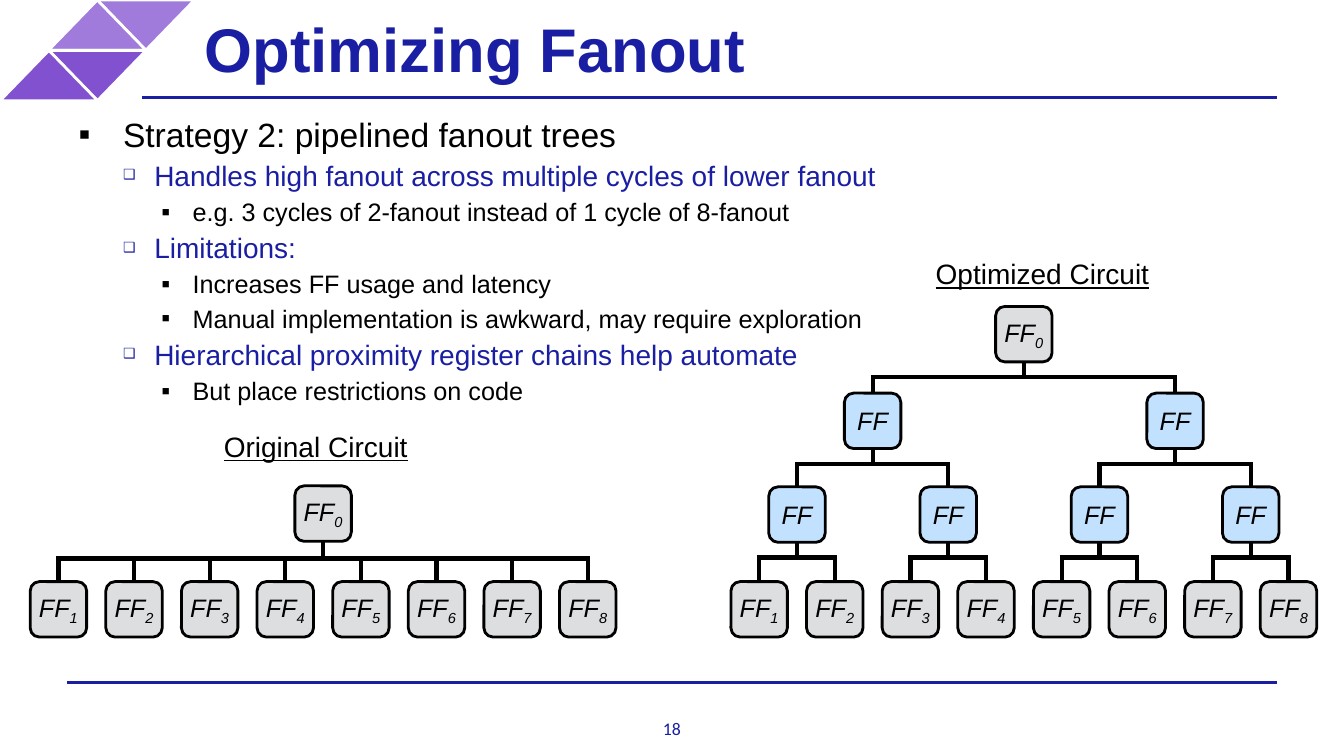
from lxml import etree
from pptx import Presentation
from pptx.dml.color import RGBColor
from pptx.enum.shapes import MSO_CONNECTOR, MSO_SHAPE
from pptx.enum.text import MSO_ANCHOR, MSO_AUTO_SIZE, PP_ALIGN
from pptx.oxml.ns import qn
from pptx.util import Inches, Pt

STRAIGHT = MSO_CONNECTOR.STRAIGHT
TRIANGLE, ROUNDED = MSO_SHAPE.ISOSCELES_TRIANGLE, MSO_SHAPE.ROUNDED_RECTANGLE
LEFT, CENTER = PP_ALIGN.LEFT, PP_ALIGN.CENTER
TOP, MIDDLE = MSO_ANCHOR.TOP, MSO_ANCHOR.MIDDLE
NO_AUTOFIT = MSO_AUTO_SIZE.NONE

NAVY = RGBColor(0x19, 0x1E, 0xA2)
LILAC = RGBColor(0xA0, 0x7B, 0xDB)
PURPLE = RGBColor(0x81, 0x51, 0xCF)
GRAY = RGBColor(0xDC, 0xDE, 0xE0)
SKY = RGBColor(0xC1, 0xE1, 0xFE)
BLACK = RGBColor(0, 0, 0)
WHITE = RGBColor(255, 255, 255)

SLIDE_W, SLIDE_H = 13.33, 7.5
RULE_RIGHT = 0.95 * SLIDE_W
TILE_W, TILE_H = 0.96, 0.5
LEAVES = 8
LEAF_PITCH = 0.75
FF_W, FF_H = 0.56, 0.55
ROW_TOPS = [3.04, 3.9, 4.83, 5.77]  # root, two stages of copies, leaves
BUS_RISES = [0.16, 0.23, 0.24]  # bus height above the lower row
WIRE = 3

# marker, marker size in %, indent, hanging, space before, text size, colour
LEVELS = [
    ("▪", 100, 0.5, 0.44, 6, 24, BLACK),
    ("❑", 50, 0.81, 0.31, 3, 20, NAVY),
    ("▪", 100, 1.19, 0.31, 3, 18, BLACK),
]
STRATEGY = [
    (0, "Strategy 2: pipelined fanout trees"),
    (1, "Handles high fanout across multiple cycles of lower fanout"),
    (2, "e.g. 3 cycles of 2-fanout instead of 1 cycle of 8-fanout"),
    (1, "Limitations:"),
    (2, "Increases FF usage and latency"),
    (2, "Manual implementation is awkward, may require exploration"),
    (1, "Hierarchical proximity register chains help automate"),
    (2, "But place restrictions on code"),
]


def write(paragraph, text, size=18, color=BLACK, font="Arial", align=LEFT,
          bold=False, italic=False, underline=False, subscript=False):
    paragraph.alignment = align
    run = paragraph.add_run()
    run.text = text
    run.font.name, run.font.size = font, Pt(size)
    run.font.color.rgb = color
    run.font.bold, run.font.italic, run.font.underline = bold, italic, underline
    if subscript:
        run._r.get_or_add_rPr().set("baseline", "-25000")


def set_frame(shape, margin=0.0, anchor=TOP, wrap=True):
    """Set the text margins and anchor, and return the first paragraph."""
    frame = shape.text_frame
    frame.auto_size, frame.word_wrap = NO_AUTOFIT, wrap
    frame.vertical_anchor = anchor
    frame.margin_left = frame.margin_right = Inches(margin)
    frame.margin_top = frame.margin_bottom = Inches(margin)
    return frame.paragraphs[0]


def add_textbox(slide, left, top, width, height):
    return slide.shapes.add_textbox(
        Inches(left), Inches(top), Inches(width), Inches(height))


def add_filled(slide, kind, left, top, width, height, fill, outline):
    shape = slide.shapes.add_shape(
        kind, Inches(left), Inches(top), Inches(width), Inches(height))
    shape.shadow.inherit = False
    shape.fill.solid()
    shape.fill.fore_color.rgb = fill
    shape.line.color.rgb = outline
    shape.line.width = Pt(2)
    return shape


def add_line(slide, x1, y1, x2, y2, color=BLACK, width=WIRE):
    line = slide.shapes.add_connector(
        STRAIGHT, Inches(x1), Inches(y1), Inches(x2), Inches(y2))
    line.line.color.rgb = color
    line.line.width = Pt(width)
    etree.SubElement(line._element.spPr, qn("a:effectLst"))
    return line


def add_corner_tiles(slide):
    for column, row, fill in [(2, 0, LILAC), (1, 0, LILAC),
                              (1, 1, PURPLE), (0, 1, PURPLE)]:
        tile = add_filled(slide, TRIANGLE, column * TILE_W / 2, row * TILE_H,
                          TILE_W + 0.01, TILE_H, fill, WHITE)
        tile.rotation = 0 if (column + row) % 2 else 180


def add_title(slide):
    title = slide.shapes.title
    title.left, title.top = Inches(1.89), 0
    title.width, title.height = Inches(10.08), Inches(0.95)
    write(set_frame(title, 0.14, MIDDLE), "Optimizing Fanout",
          size=44, color=NAVY, bold=True)


def add_bullet(paragraph, level, text):
    marker, marker_size, indent, hanging, before, size, color = LEVELS[level]
    write(paragraph, text, size=size, color=color)
    paragraph.level = level
    paragraph.space_before = Pt(before)
    properties = paragraph._p.get_or_add_pPr()
    properties.set("marL", str(Inches(indent)))
    properties.set("indent", str(-Inches(hanging)))
    etree.SubElement(properties, qn("a:buSzPct"), val=str(marker_size * 1000))
    etree.SubElement(properties, qn("a:buFont"), typeface="Arial")
    etree.SubElement(properties, qn("a:buChar"), char=marker)


def add_strategy(slide):
    body = add_textbox(slide, 0.72, 1.13, 11.59, 2.76)
    paragraph = set_frame(body)
    for position, (level, text) in enumerate(STRATEGY):
        if position:
            paragraph = body.text_frame.add_paragraph()
        add_bullet(paragraph, level, text)


def add_caption(slide, text, left, top, width):
    caption = add_textbox(slide, left, top, width, 0.45)
    write(set_frame(caption, 0.06, MIDDLE), text, size=20, underline=True)


def add_flip_flop(slide, center, top, number=None):
    fill = SKY if number is None else GRAY
    box = add_filled(slide, ROUNDED, center - FF_W / 2, top, FF_W, FF_H,
                     fill, BLACK)
    label = set_frame(box, 0.06, MIDDLE)
    write(label, "FF", align=CENTER, italic=True)
    if number is not None:
        write(label, str(number), align=CENTER, italic=True, subscript=True)
    return box, center


def add_fanout(slide, parent, parent_top, children, child_top, rise):
    """Wire one flip-flop to the row below through a horizontal bus."""
    source, source_x = parent
    bus = child_top - rise
    overhang = WIRE / 72 / 2
    add_line(slide, children[0][1] - overhang, bus,
             children[-1][1] + overhang, bus)
    stem = add_line(slide, source_x, parent_top + FF_H, source_x, bus)
    stem.begin_connect(source, 2)
    for target, x in children:
        drop = add_line(slide, x, bus, x, child_top)
        drop.end_connect(target, 0)


def add_tree(slide, first_center, row_tops, rises, fanout):
    """Build upwards from the leaves, each parent centred over its children."""
    row = [add_flip_flop(slide, first_center + i * LEAF_PITCH, row_tops[-1], i + 1)
           for i in range(LEAVES)]
    for depth in range(len(row_tops) - 2, -1, -1):
        parents = []
        for start in range(0, len(row), fanout):
            children = row[start:start + fanout]
            center = (children[0][1] + children[-1][1]) / 2
            parent = add_flip_flop(slide, center, row_tops[depth],
                                   None if depth else 0)
            add_fanout(slide, parent, row_tops[depth], children,
                       row_tops[depth + 1], rises[depth])
            parents.append(parent)
        row = parents


def main():
    prs = Presentation()
    prs.slide_width, prs.slide_height = Inches(SLIDE_W), Inches(SLIDE_H)
    slide = prs.slides.add_slide(prs.slide_layouts[5])

    add_line(slide, 0.66, 6.77, RULE_RIGHT, 6.77, NAVY, 2)
    add_corner_tiles(slide)
    add_line(slide, 1.41, 0.97, RULE_RIGHT, 0.97, NAVY, 2)
    add_title(slide)
    page_number = add_textbox(slide, SLIDE_W / 2 - 0.05, 7.12, 0.1, 0.21)
    write(set_frame(page_number, wrap=False), "18", size=12.7, color=NAVY,
          font="Calibri", align=CENTER)
    add_strategy(slide)

    add_caption(slide, "Original Circuit", 2.16, 4.2, 2.07)
    add_tree(slide, 0.58, [4.82, ROW_TOPS[-1]], [0.23], LEAVES)
    add_caption(slide, "Optimized Circuit", 9.22, 2.49, 2.28)
    add_tree(slide, 7.53, ROW_TOPS, BUS_RISES, 2)

    prs.save("out.pptx")


if __name__ == "__main__":
    main()
